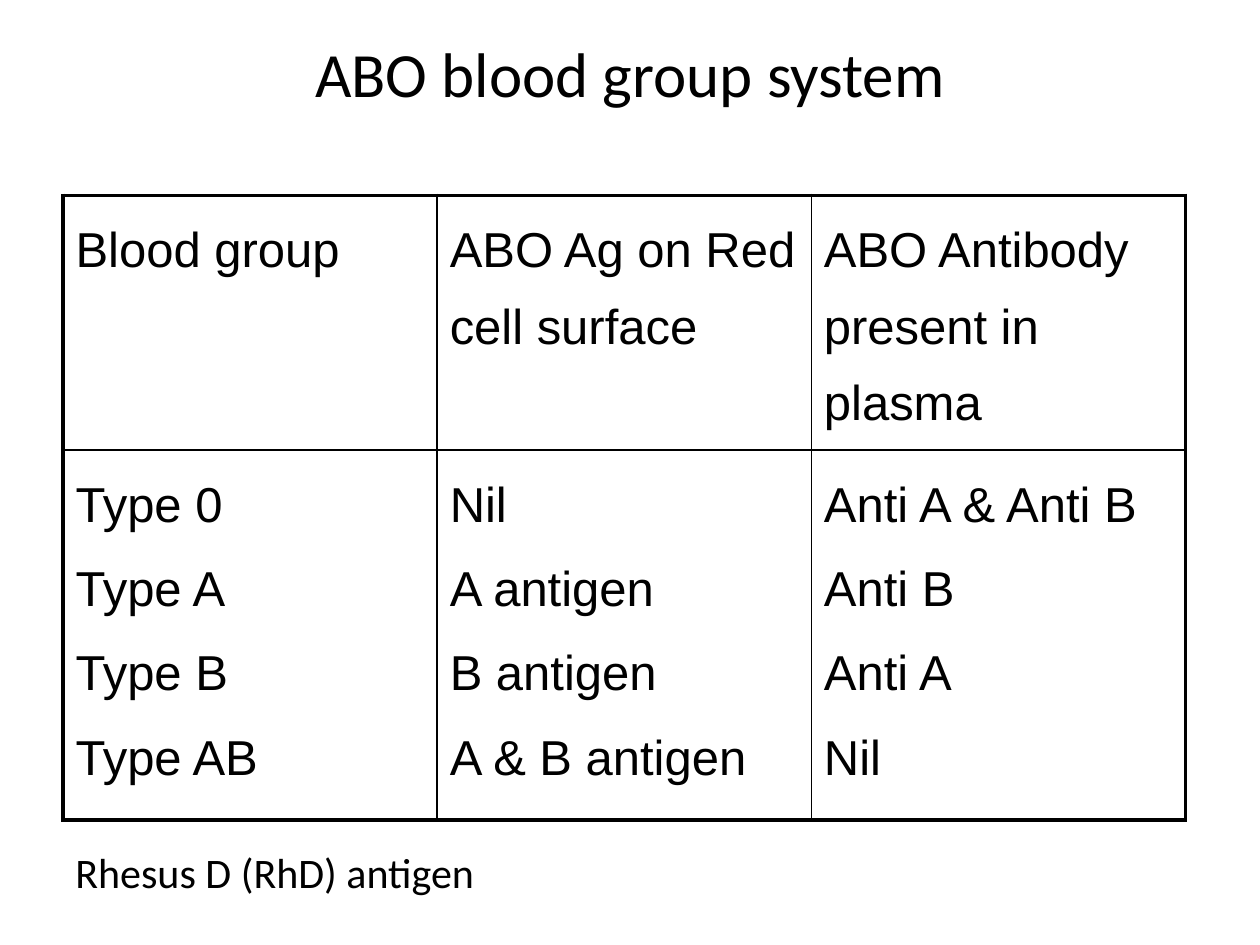
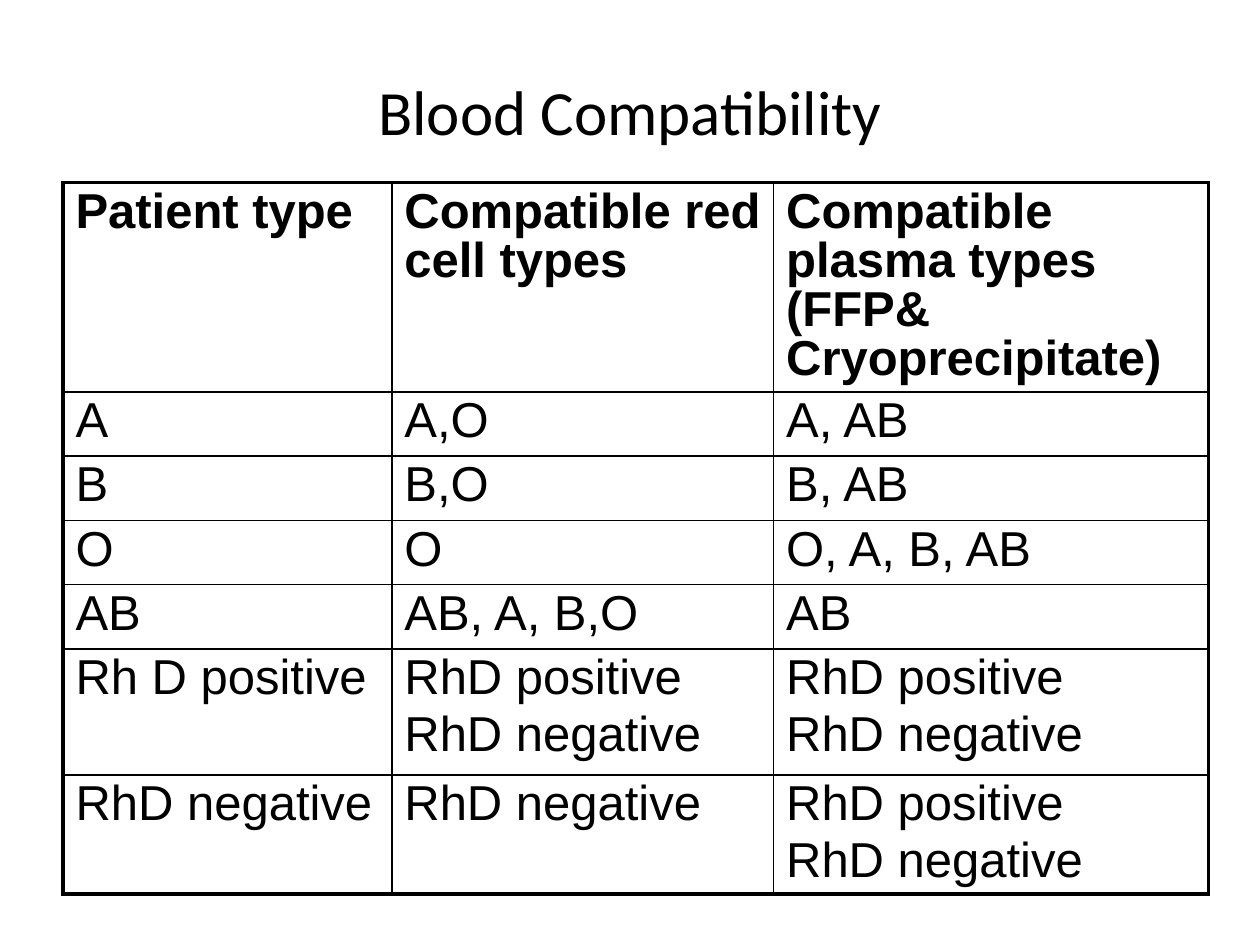
import pptx
import pptx.util
import pptx.dml.color
import pptx.enum.text
import lxml.etree
from pptx.oxml.ns import qn

Inches, Pt = pptx.util.Inches, pptx.util.Pt
anchor = pptx.enum.text.MSO_ANCHOR

theme = {
    "ink": "000000", "head": "Calibri", "cell": "Arial",
    "title": 36, "table": 28, "note": 24,
    "thick": 2.25, "thin": 1, "gap": 4.5,
}

pages = [
    {
        "title": "ABO blood group system", "anchor": anchor.TOP, "inset": 0.02,
        "at": (0.5, 1.55, 8.92, 5.05), "cols": [2.97] * 3, "rows": [2.02, 2.94],
        "lead": 1.4, "bold": False,
        "cells": [
            ["Blood group", "ABO Ag on Red cell surface", "ABO Antibody present in plasma"],
            ["Type 0\nType A\nType B\nType AB",
             "Nil\nA antigen\nB antigen\nA & B antigen",
             "Anti A & Anti B\nAnti B\nAnti A\nNil"],
        ],
        "note": "Rhesus D (RhD) antigen",
    },
    {
        "title": "Blood Compatibility", "anchor": anchor.MIDDLE, "inset": 0.05,
        "at": (0.5, 1.45, 9.08, 5.93), "cols": [2.61, 3.03, 3.45],
        "rows": [1.32] + [0.51] * 4 + [1, 0.73],
        "lead": 0.9, "bold": True,
        "cells": [
            ["Patient type", "Compatible red cell types",
             "Compatible plasma types (FFP& Cryoprecipitate)"],
            ["A", "A,O", "A, AB"],
            ["B", "B,O", "B, AB"],
            ["O", "O", "O, A, B, AB"],
            ["AB", "AB, A, B,O", "AB"],
            ["Rh D positive", "RhD positive\nRhD negative", "RhD positive\nRhD negative"],
            ["RhD negative", "RhD negative", "RhD positive\nRhD negative"],
        ],
        "note": None,
    },
]


def write(para, text, font, size, bold=False):
    run = para.add_run()
    run.text = text
    run.font.name = font
    run.font.size = Pt(size)
    run.font.bold = bold
    run.font.color.rgb = pptx.dml.color.RGBColor.from_string(theme["ink"])


def edge(cell, sides):
    props = cell._tc.get_or_add_tcPr()
    for spot, (side, outer) in enumerate(sides.items()):
        width = Pt(theme["thick"] if outer else theme["thin"])
        line = lxml.etree.Element(qn("a:ln" + side), w=str(int(width)))
        fill = lxml.etree.SubElement(line, qn("a:solidFill"))
        lxml.etree.SubElement(fill, qn("a:srgbClr"), val=theme["ink"])
        props.insert(spot, line)


deck = pptx.Presentation()
deck.slide_width, deck.slide_height = Inches(10), Inches(7.5)

for page in pages:
    slide = deck.slides.add_slide(deck.slide_layouts[5])
    title = slide.shapes.title
    title.left, title.top = Inches(0.5), Inches(0.25)
    title.width, title.height = Inches(9), Inches(1.25)
    frame = title.text_frame
    frame.vertical_anchor = page["anchor"]
    frame.margin_top = Inches(page["inset"])
    frame.paragraphs[0].alignment = pptx.enum.text.PP_ALIGN.CENTER
    write(frame.paragraphs[0], page["title"], theme["head"], theme["title"])

    rows, cols = page["rows"], page["cols"]
    place = [Inches(n) for n in page["at"]]
    table = slide.shapes.add_table(len(rows), len(cols), *place).table
    table.first_row = table.horz_banding = False
    for col, width in zip(table.columns, cols):
        col.width = Inches(width)
    for row, height in zip(table.rows, rows):
        row.height = Inches(height)

    for r, texts in enumerate(page["cells"]):
        for c, text in enumerate(texts):
            cell = table.cell(r, c)
            cell.fill.background()
            edge(cell, {"L": c == 0, "R": c == len(cols) - 1,
                        "T": r == 0, "B": r == len(rows) - 1})
            for n, line in enumerate(text.split("\n")):
                paras = cell.text_frame
                para = paras.add_paragraph() if n else paras.paragraphs[0]
                para.line_spacing = page["lead"]
                para.space_before = Pt(theme["gap"])
                write(para, line, theme["cell"], theme["table"], page["bold"] and r == 0)

    if page["note"]:
        note = slide.shapes.add_textbox(Inches(0.5), Inches(6.67), Inches(9.17), Inches(0.5))
        note.text_frame.word_wrap = True
        write(note.text_frame.paragraphs[0], page["note"], theme["head"], theme["note"])

deck.save("out.pptx")
